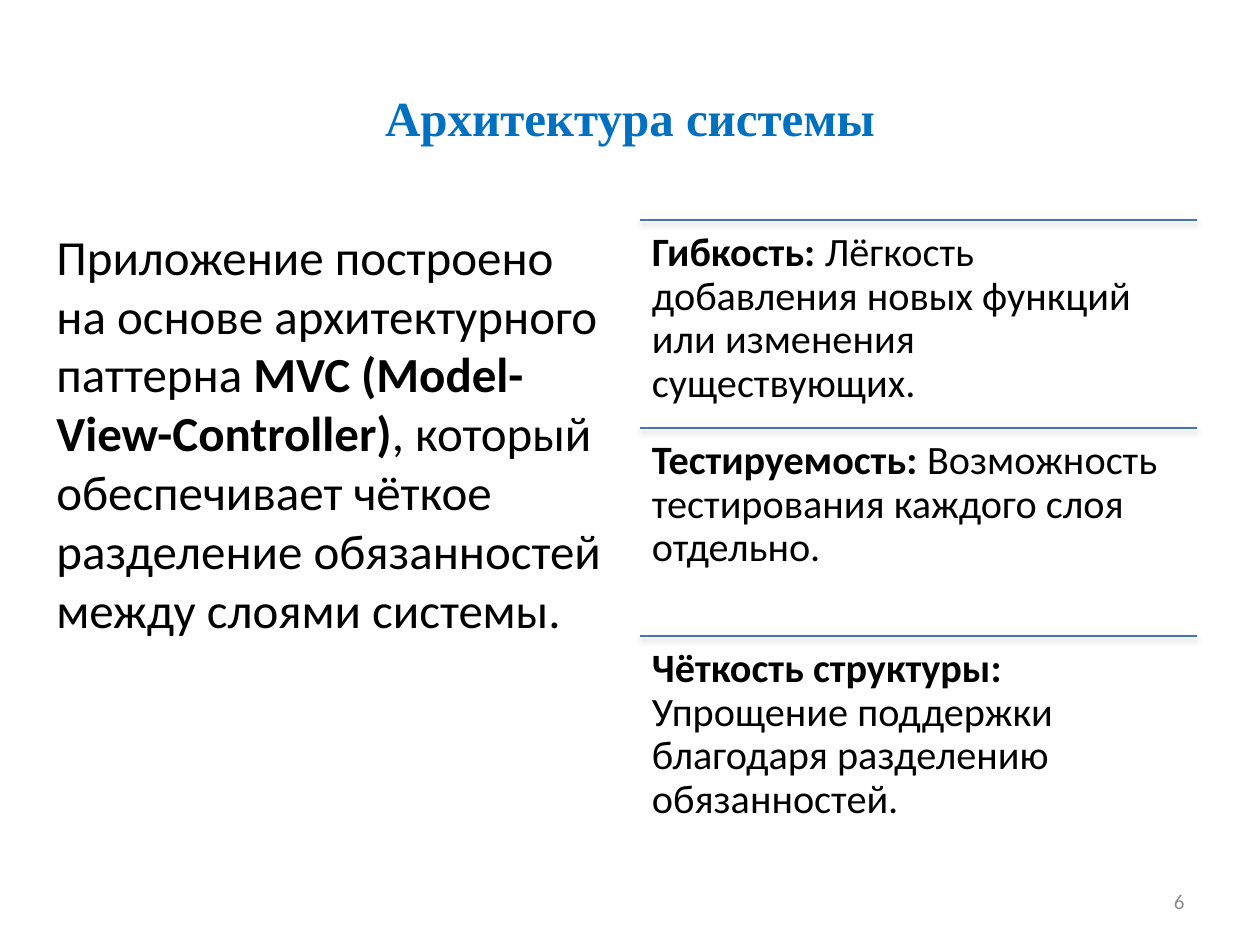
import pptx
import pptx.dml.color
import pptx.enum.shapes
import pptx.enum.text
import pptx.oxml
import pptx.oxml.ns
import pptx.util

EMU_PER_PX = 914400 / 126
COLORS = {"title": "0070C0", "text": "000000", "number": "8C8C8C", "rule": "4875AC"}
ALIGN = pptx.enum.text.PP_ALIGN
ANCHOR = pptx.enum.text.MSO_ANCHOR

BENEFITS = [
    ("Гибкость:", " Лёгкость добавления новых функций или изменения существующих."),
    ("Тестируемость:", " Возможность тестирования каждого слоя отдельно."),
    ("Чёткость структуры:", " Упрощение поддержки благодаря разделению обязанностей."),
]
BENEFIT_LEFT, BENEFIT_TOP, BENEFIT_WIDTH, BENEFIT_HEIGHT = 640, 220, 557, 208

RULE_SHADOW = (
    f'<a:effectLst {pptx.oxml.ns.nsdecls("a")}>'
    '<a:outerShdw blurRad="40000" dist="23000" dir="5400000" rotWithShape="0">'
    '<a:srgbClr val="000000"><a:alpha val="35000"/></a:srgbClr>'
    '</a:outerShdw></a:effectLst>'
)


def px(value):
    return pptx.util.Emu(round(value * EMU_PER_PX))


def rgb(name):
    return pptx.dml.color.RGBColor.from_string(COLORS[name])


def add_text(slide, box, runs, size, color="text", font="Calibri",
             align=ALIGN.LEFT, anchor=ANCHOR.TOP, inset=None):
    """Add a one-paragraph text box from (text, bold) runs; return the paragraph."""
    shape = slide.shapes.add_textbox(*map(px, box))
    frame = shape.text_frame
    frame.word_wrap = True
    frame.vertical_anchor = anchor
    if inset is not None:
        frame.margin_left = frame.margin_right = px(inset)
        frame.margin_top = frame.margin_bottom = px(inset)
    paragraph = frame.paragraphs[0]
    paragraph.alignment = align
    for text, bold in runs:
        run = paragraph.add_run()
        run.text = text
        run.font.name = font
        run.font.size = pptx.util.Pt(size)
        run.font.bold = bold
        run.font.color.rgb = rgb(color)
    return paragraph


def add_rule(slide, left, top, width):
    line = slide.shapes.add_connector(
        pptx.enum.shapes.MSO_CONNECTOR.STRAIGHT,
        px(left), px(top), px(left + width), px(top))
    line.line.color.rgb = rgb("rule")
    line.line.width = pptx.util.Pt(0.75)
    line._element.spPr.append(pptx.oxml.parse_xml(RULE_SHADOW))


def add_benefit(slide, top, name, description):
    add_rule(slide, BENEFIT_LEFT, top, BENEFIT_WIDTH)
    paragraph = add_text(
        slide, (BENEFIT_LEFT, top, BENEFIT_WIDTH, BENEFIT_HEIGHT),
        [(name, True), (description, False)], 23, inset=12)
    paragraph.line_spacing = 0.9
    paragraph.space_after = pptx.util.Pt(8)


def main():
    presentation = pptx.Presentation()
    presentation.slide_width = px(1260)
    presentation.slide_height = px(945)
    slide = presentation.slides.add_slide(presentation.slide_layouts[6])

    add_text(slide, (63, 38, 1134, 158), [("Архитектура системы", True)], 28,
             "title", "Times New Roman", ALIGN.CENTER, ANCHOR.MIDDLE)
    summary = add_text(slide, (44, 220, 575, 624), [
        ("Приложение построено на основе архитектурного паттерна ", False),
        ("MVC (Model-View-Controller)", True),
        (", который обеспечивает чёткое разделение обязанностей между слоями системы.", False),
    ], 28)
    summary.space_before = pptx.util.Pt(5.6)
    number = add_text(slide, (903, 876, 294, 50), [("6", False)], 12, "number",
                      align=ALIGN.RIGHT, anchor=ANCHOR.MIDDLE)
    number.space_after = pptx.util.Pt(6)

    for index, (name, description) in enumerate(BENEFITS):
        add_benefit(slide, BENEFIT_TOP + index * BENEFIT_HEIGHT, name, description)

    presentation.save("out.pptx")


if __name__ == "__main__":
    main()
